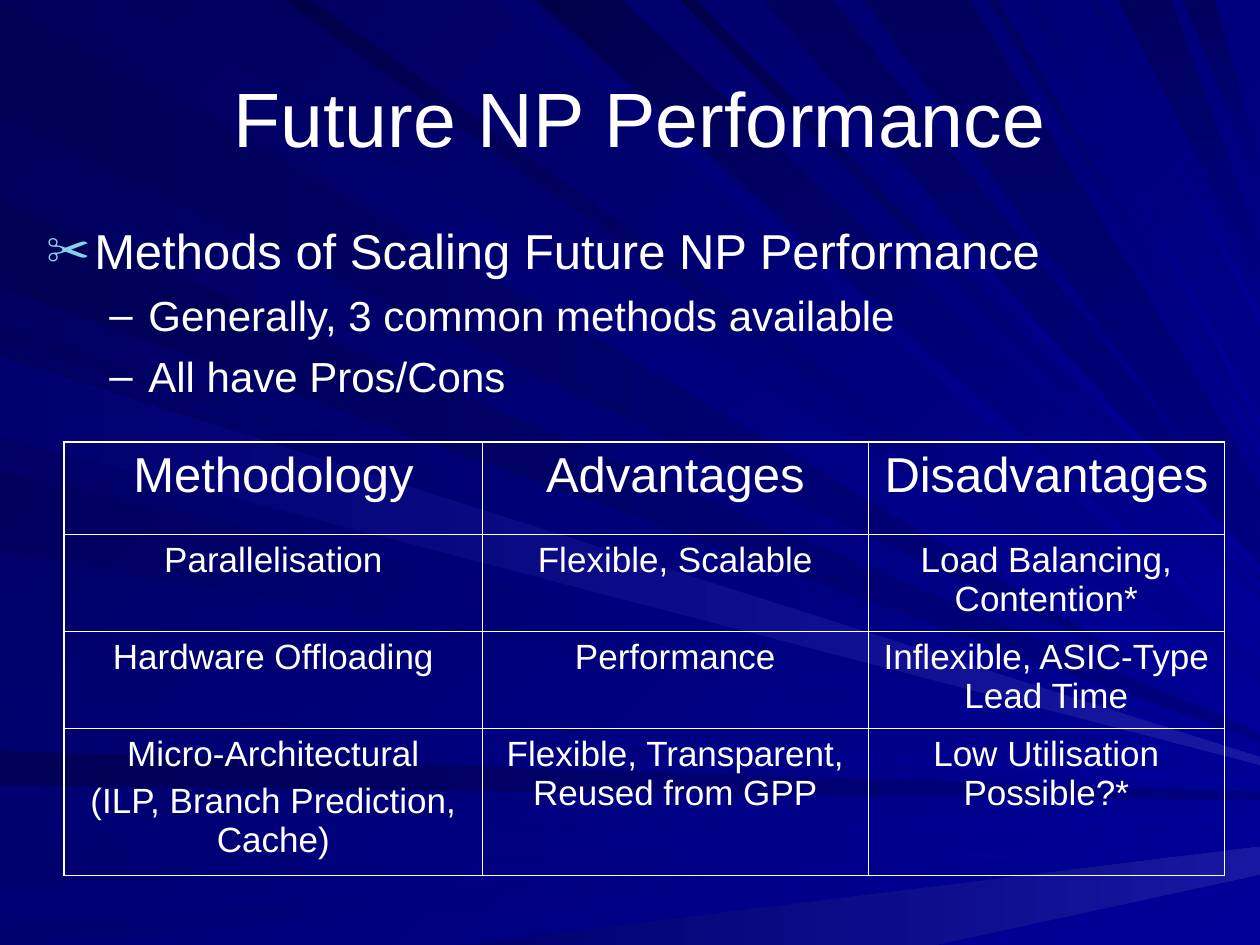
from dataclasses import dataclass
from lxml import etree
from pptx import Presentation
from pptx.dml.color import RGBColor
from pptx.enum.text import MSO_ANCHOR, PP_ALIGN
from pptx.oxml.ns import qn
from pptx.util import Emu, Inches, Pt

CENTER = PP_ALIGN.CENTER
MIDDLE = MSO_ANCHOR.MIDDLE
UNIT = Inches(0.01)
WIDE, HIGH = 1000, 750


@dataclass(frozen=True)
class Theme:
    """Colours, font, type sizes and line widths."""
    font: str = "Arial"
    text: str = "FFFFFF"
    mark: str = "86D1EC"
    ground: tuple = ("000058", "000099", 45)
    deep: tuple = ("00004A", "000099", 45)
    glow: tuple = ("00005D", "000099", 45)
    dusk: tuple = ("000055", "000080", 0)
    fall: tuple = ("00005D", "000080", 90)
    haze: tuple = ("00006F", "000099", 0)
    tip: tuple = ("00006F", "1717A2", 0)
    title: float = 44
    head: float = 28
    sub: float = 24
    cell: float = 20
    edge: float = 1.08
    rule: float = 0.45


THEME = Theme()

LEFT_RAYS = [
    (THEME.dusk, 2, 91, 570),
    (THEME.dusk, 596, 27, 632),
    (THEME.haze, 665, 39, 647),
    (THEME.haze, 735, 15, 662),
    (THEME.glow, 258, 12, 589),
    (THEME.dusk, 159, 69, 585),
    (THEME.glow, 278, 64, 600),
    (THEME.glow, 374, 63, 606),
    (THEME.haze, 552, 8, 622),
    (THEME.tip, 283, 64, 604),
]

TOP_RAYS = [
    (THEME.glow, 26, 75, 563),
    (THEME.haze, 398, 18, 518),
    (THEME.deep, 426, 66, 493),
    (THEME.deep, 540, 12, 463),
    (THEME.fall, 606, 55, 446),
    (THEME.fall, 887, 43, 210),
    (THEME.fall, 939, 25, 140),
    (THEME.deep, 225, 22, 550),
    (THEME.haze, 577, 11, 454),
    (THEME.fall, 686, 84, 409),
    (THEME.glow, 785, 7, 357),
    (THEME.haze, 815, 9, 336),
    (THEME.haze, 865, 7, 254),
]

POINTS = [
    (0, "Methods of Scaling Future NP Performance"),
    (1, "Generally, 3 common methods available"),
    (1, "All have Pros/Cons"),
]

METHODS = [
    ("Methodology", "Advantages", "Disadvantages"),
    ("Parallelisation", "Flexible, Scalable", "Load Balancing, Contention*"),
    ("Hardware Offloading", "Performance", "Inflexible, ASIC-Type Lead Time"),
    ("Micro-Architectural\n(ILP, Branch Prediction, Cache)",
     "Flexible, Transparent, Reused from GPP", "Low Utilisation Possible?*"),
]


def shade(fill, tone):
    """Fill with a two-colour gradient turned clockwise."""
    *ends, angle = tone
    fill.gradient()
    fill.gradient_angle = (360 - angle) % 360
    for stop, end in zip(fill.gradient_stops, ends):
        stop.color.rgb = RGBColor.from_string(end)


def style(para, size):
    """Format the runs of a paragraph."""
    for run in para.runs:
        run.font.name = THEME.font
        run.font.size = Pt(size)
        run.font.color.rgb = RGBColor.from_string(THEME.text)


def paint(parent, tone):
    """Append a colour element to an XML parent."""
    etree.SubElement(parent, qn("a:srgbClr"), val=tone)


def bullet(para, mark, tone, share, left, hang):
    """Give a paragraph a hanging bullet."""
    props = para._p.get_or_add_pPr()
    props.set("marL", str(Inches(left)))
    props.set("indent", str(-Inches(hang)))
    paint(etree.SubElement(props, qn("a:buClr")), tone)
    etree.SubElement(props, qn("a:buSzPct"), val=str(share * 1000))
    etree.SubElement(props, qn("a:buFont"), typeface=THEME.font)
    etree.SubElement(props, qn("a:buChar"), char=mark)


def frame(slide, box):
    """Add a wrapping text box and return its text frame."""
    body = slide.shapes.add_textbox(*box).text_frame
    body.word_wrap = True
    return body


def beam(slide, box, tone, spots):
    """Draw one shaded ray through its corners."""
    pen = slide.shapes.build_freeform(*spots[0], scale=UNIT)
    pen.add_line_segments(spots[1:], close=True)
    ray = pen.convert_to_shape(*box[:2])
    ray.shadow.inherit = False
    ray.line.fill.background()
    shade(ray.fill, tone)


def backdrop(slide, box):
    """Draw the shaded ground and rays that narrow to the right edge."""
    shade(slide.background.fill, THEME.ground)
    for tone, start, span, end in LEFT_RAYS:
        beam(slide, box, tone, [(0, start), (0, start + span),
                                (WIDE, end + 3), (WIDE, end - 3)])
    for tone, start, span, end in TOP_RAYS:
        half = span / 4 + 1
        beam(slide, box, tone, [(start, 0), (start + span, 0),
                                (WIDE, end - half), (WIDE, end + half)])
    beam(slide, box, THEME.tip, [(364, HIGH), (742, HIGH),
                                 (WIDE, 694), (WIDE, 672)])


def heading(slide, box):
    """Place the centred title."""
    body = frame(slide, box)
    body.vertical_anchor = MIDDLE
    body.text = "Future NP Performance"
    para = body.paragraphs[0]
    para.alignment = CENTER
    style(para, THEME.title)


def outline(slide, box):
    """Place the bulleted points."""
    body = frame(slide, box)
    body.text = "\n".join(text for _, text in POINTS)
    for para, (level, _) in zip(body.paragraphs, POINTS):
        para.level = level
        if level:
            para.space_before = Pt(6)
            bullet(para, "–", THEME.text, 100, 0.81, 0.31)
        else:
            bullet(para, "✂", THEME.mark, 90, 0.38, 0.38)
        style(para, THEME.sub if level else THEME.head)


def border(cell, sides):
    """Rule the four sides of a cell, heavy where a side is outer."""
    props = cell._tc.get_or_add_tcPr()
    for spot, (side, outer) in enumerate(sides.items()):
        width = Pt(THEME.edge if outer else THEME.rule)
        line = etree.Element(qn("a:ln" + side), w=str(width))
        paint(etree.SubElement(line, qn("a:solidFill")), THEME.text)
        props.insert(spot, line)


def matrix(slide, box):
    """Place the table of methods."""
    wide, high = (332, 306, 283), (73, 77, 77, 117)
    table = slide.shapes.add_table(len(high), len(wide), *box).table
    table.first_row = table.horz_banding = False
    for col, share in zip(table.columns, wide):
        col.width = Emu(box[2] * share // sum(wide))
    for row, share in zip(table.rows, high):
        row.height = Emu(box[3] * share // sum(high))
    for i, texts in enumerate(METHODS):
        for j, text in enumerate(texts):
            cell = table.cell(i, j)
            cell.fill.background()
            border(cell, {"L": j == 0, "R": j == len(wide) - 1,
                          "T": i == 0, "B": i == len(high) - 1})
            cell.text = text
            for k, para in enumerate(cell.text_frame.paragraphs):
                para.alignment = CENTER
                if k:
                    para.space_before = Pt(5)
                style(para, THEME.cell if i else THEME.head)


def grid(*cells):
    """Turn grid units into lengths."""
    return [Emu(n * UNIT) for n in cells]


def main():
    """Build and save the slide."""
    deck = Presentation()
    deck.slide_width, deck.slide_height = grid(WIDE, HIGH)
    slide = deck.slides.add_slide(deck.slide_layouts[6])
    backdrop(slide, grid(0, 0, WIDE, HIGH))
    heading(slide, grid(58, 30, 900, 125))
    matrix(slide, grid(51, 351, 921, 344))
    outline(slide, grid(27, 170, 950, 189))
    deck.save("out.pptx")


if __name__ == "__main__":
    main()
